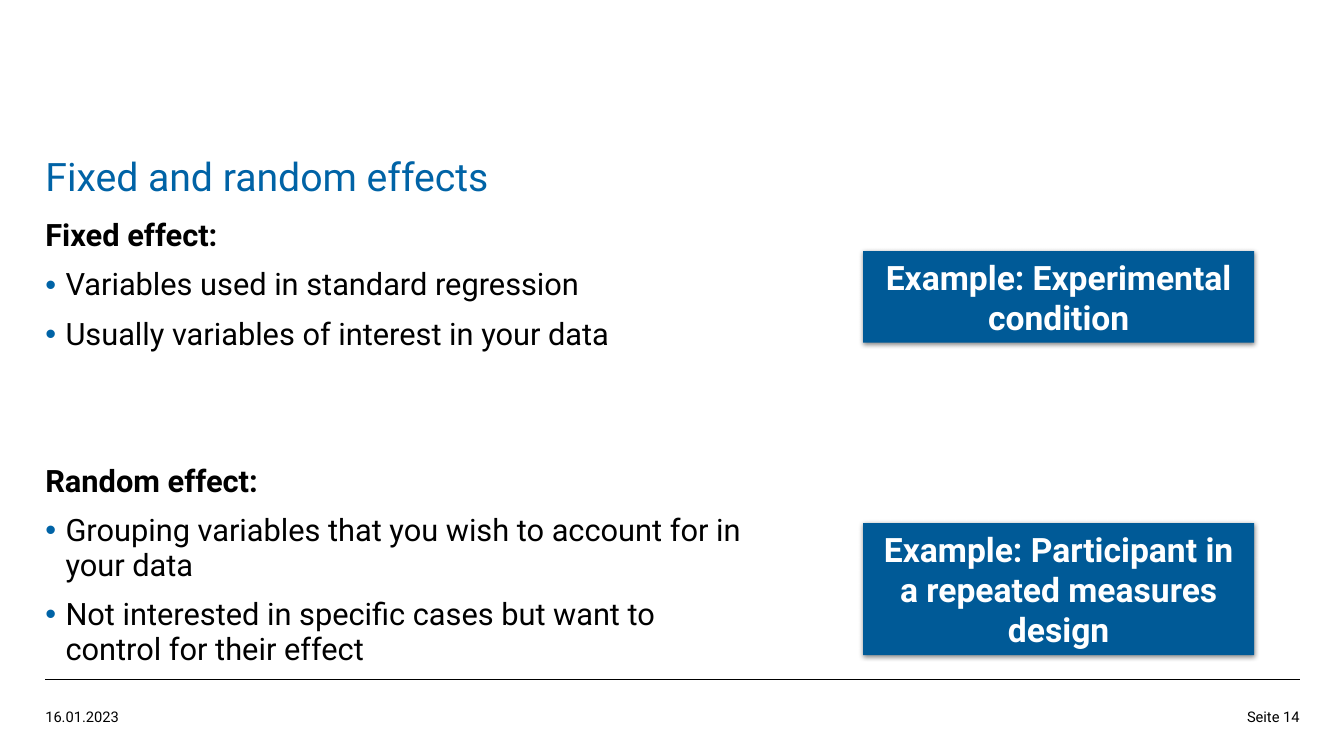
from lxml.etree import SubElement
from pptx import Presentation
from pptx.dml.color import RGBColor
from pptx.enum.shapes import MSO_CONNECTOR, MSO_SHAPE
from pptx.enum.text import MSO_ANCHOR, MSO_AUTO_SIZE, PP_ALIGN
from pptx.oxml.ns import qn
from pptx.util import Inches, Pt

BLUE = RGBColor(0x00, 0x63, 0xA6)
BOX_BLUE = RGBColor(0x00, 0x5A, 0x97)
BLACK = RGBColor(0x00, 0x00, 0x00)
WHITE = RGBColor(0xFF, 0xFF, 0xFF)
FONT = "Roboto"
LEFT, RIGHT = 0.45, 12.89

# Heading, space before it in points, bullet points
SECTIONS = [
    ("Fixed effect:", 10, [
        "Variables used in standard regression",
        "Usually variables of interest in your data",
    ]),
    ("Random effect:", 80, [
        "Grouping variables that you wish to account for in your data",
        "Not interested in specific cases but want to control for their effect",
    ]),
]

# Text, top, height
EXAMPLES = [
    ("Example: Experimental condition", 2.49, 0.91),
    ("Example: Participant in a repeated measures design", 5.19, 1.31),
]


def place(shape, left, top, width, height):
    shape.left, shape.top = Inches(left), Inches(top)
    shape.width, shape.height = Inches(width), Inches(height)


def prepare_frame(frame, anchor=MSO_ANCHOR.TOP):
    frame.word_wrap = True
    frame.auto_size = MSO_AUTO_SIZE.NONE
    frame.vertical_anchor = anchor
    frame.margin_left = frame.margin_right = 0
    frame.margin_top = frame.margin_bottom = 0


def write(para, text, size, color, bold=False, align=PP_ALIGN.LEFT):
    para.text = text
    para.alignment = align
    font = para.font
    font.name, font.size, font.bold = FONT, Pt(size), bold
    font.color.rgb = color


def set_bullet(para, shown):
    properties = para._p.get_or_add_pPr()
    indent = Inches(0.2) if shown else 0
    properties.set("marL", str(indent))
    properties.set("indent", str(-indent))
    # Bullet elements belong before the default run properties
    defaults = properties.find(qn("a:defRPr"))
    if shown:
        color = SubElement(properties, qn("a:buClr"))
        SubElement(color, qn("a:srgbClr"), val=str(BLUE))
        defaults.addprevious(color)
        defaults.addprevious(SubElement(properties, qn("a:buChar"), char="•"))
    else:
        defaults.addprevious(SubElement(properties, qn("a:buNone")))


def add_title(page, text):
    title = page.shapes.title
    place(title, LEFT, 1.08, 9.33, 0.9)
    prepare_frame(title.text_frame, MSO_ANCHOR.BOTTOM)
    para = title.text_frame.paragraphs[0]
    write(para, text, 28, BLUE)
    para.line_spacing = 0.9


def add_sections(page, sections):
    body = page.placeholders[1]
    place(body, LEFT, 2.17, 6.92, 4.33)
    frame = body.text_frame
    prepare_frame(frame)
    lines = []
    for heading, space, points in sections:
        lines.append((heading, space, True))
        lines += [(point, 10, False) for point in points]
    for index, (text, space, is_heading) in enumerate(lines):
        para = frame.add_paragraph() if index else frame.paragraphs[0]
        write(para, text, 22, BLACK, bold=is_heading)
        para.line_spacing = 0.95
        para.space_before = Pt(space)
        set_bullet(para, shown=not is_heading)


def add_shadow(shape):
    shape.shadow.inherit = False
    effects = shape._element.spPr.find(qn("a:effectLst"))
    shadow = SubElement(effects, qn("a:outerShdw"), blurRad=str(Pt(3.5)),
                        dist=str(Pt(1.1)), dir="5400000", rotWithShape="0")
    color = SubElement(shadow, qn("a:srgbClr"), val=str(BLACK))
    SubElement(color, qn("a:alpha"), val="45000")


def add_example(page, text, top, height):
    box = page.shapes.add_shape(MSO_SHAPE.RECTANGLE, Inches(8.56), Inches(top),
                                Inches(3.88), Inches(height))
    box.fill.solid()
    box.fill.fore_color.rgb = BOX_BLUE
    box.line.fill.background()
    add_shadow(box)
    box.text_frame.word_wrap = True
    box.text_frame.auto_size = MSO_AUTO_SIZE.SHAPE_TO_FIT_TEXT
    write(box.text_frame.paragraphs[0], text, 24, WHITE, True, PP_ALIGN.CENTER)


def add_footer_text(page, text, left, width, align):
    box = page.shapes.add_textbox(Inches(left), Inches(7.02),
                                  Inches(width), Inches(0.4))
    prepare_frame(box.text_frame)
    write(box.text_frame.paragraphs[0], text, 10.5, BLACK, align=align)


def add_footer_line(page):
    line = page.shapes.add_connector(MSO_CONNECTOR.STRAIGHT, Inches(LEFT),
                                     Inches(6.74), Inches(RIGHT), Inches(6.74))
    line.line.color.rgb = BLACK
    line.line.width = Pt(0.75)
    SubElement(line._element.spPr, qn("a:effectLst"))


def main():
    deck = Presentation()
    deck.slide_width, deck.slide_height = Inches(13.33), Inches(7.5)
    page = deck.slides.add_slide(deck.slide_layouts[1])

    # Title and text
    add_title(page, "Fixed and random effects")
    add_sections(page, SECTIONS)

    # Footer
    add_footer_line(page)
    add_footer_text(page, "16.01.2023", LEFT, 0.79, PP_ALIGN.LEFT)
    add_footer_text(page, "Seite 14", RIGHT - 0.91, 0.91, PP_ALIGN.RIGHT)

    # Example boxes
    for text, top, height in EXAMPLES:
        add_example(page, text, top, height)

    deck.save("out.pptx")


if __name__ == "__main__":
    main()
